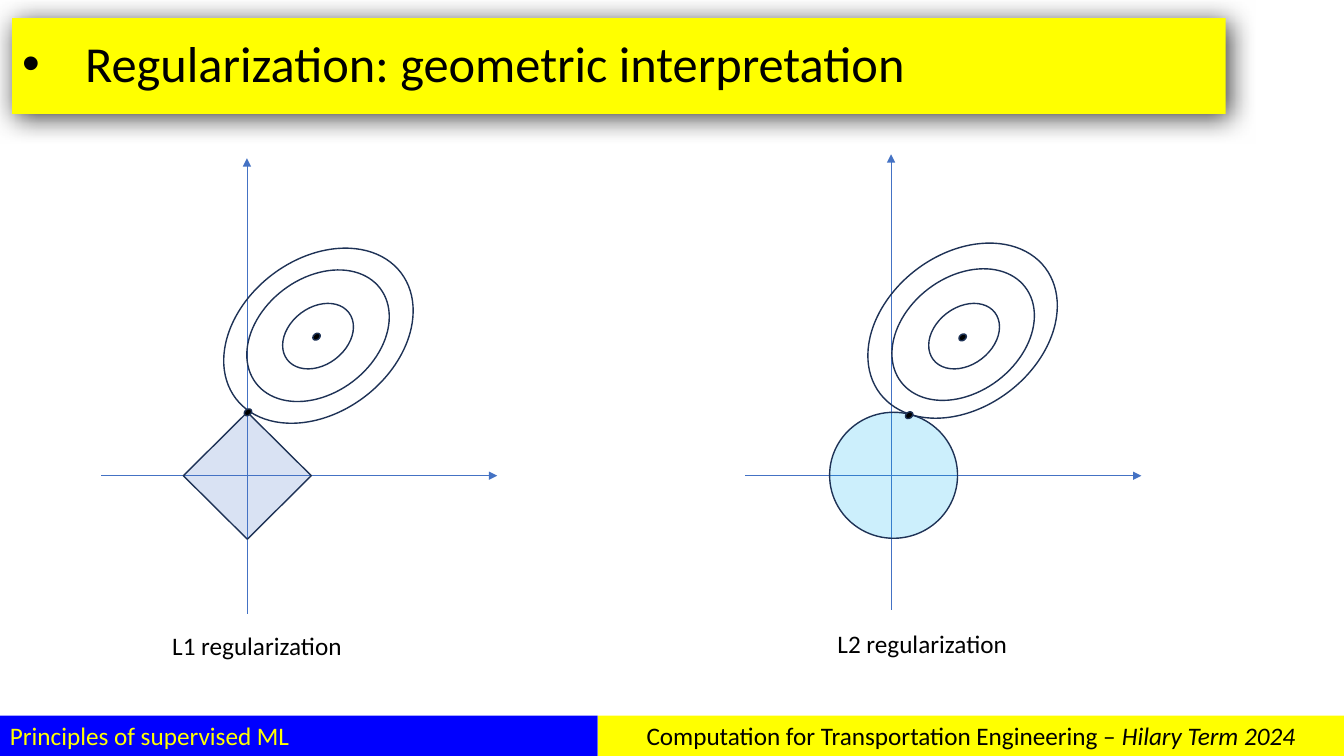
from lxml import etree
from pptx import Presentation
from pptx.dml.color import RGBColor
from pptx.enum.shapes import MSO_CONNECTOR, MSO_SHAPE
from pptx.enum.text import MSO_ANCHOR, MSO_AUTO_SIZE, PP_ALIGN
from pptx.oxml.ns import qn
from pptx.util import Pt

STRAIGHT = MSO_CONNECTOR.STRAIGHT
RECTANGLE, OVAL, DIAMOND = MSO_SHAPE.RECTANGLE, MSO_SHAPE.OVAL, MSO_SHAPE.DIAMOND
TOP, MIDDLE = MSO_ANCHOR.TOP, MSO_ANCHOR.MIDDLE
LEFT, CENTER = PP_ALIGN.LEFT, PP_ALIGN.CENTER
FIXED, GROW = MSO_AUTO_SIZE.NONE, MSO_AUTO_SIZE.SHAPE_TO_FIT_TEXT

FONT = "Calibri"
BLACK, YELLOW, BLUE = "000000", "FFFF00", "0000FF"
AXIS, OUTLINE = "4472C4", "1E3256"
TILT = 322.7
CONTOUR_SIZES = [(148.3, 109.4), (111.6, 82.1), (55.4, 41)]
DOT_SIZE = (5.8, 4.3)


def color(hex_string):
    return RGBColor.from_string(hex_string)


def add_child(parent, tag, **attributes):
    return etree.SubElement(parent, qn(tag), {k: str(v) for k, v in attributes.items()})


def set_fill(shape, hex_string, alpha=None):
    shape.fill.solid()
    shape.fill.fore_color.rgb = color(hex_string)
    if alpha:
        swatch = shape._element.spPr.find(".//" + qn("a:srgbClr"))
        add_child(swatch, "a:alpha", val=alpha * 1000)


def style_runs(para, size, hex_string):
    for run in para.runs:
        run.font.name = FONT
        run.font.size = Pt(size)
        run.font.color.rgb = color(hex_string)


def add_title(slide, text):
    title = slide.shapes.title
    title.left, title.top, title.width, title.height = Pt(8.64), Pt(12.96), Pt(866.88), Pt(68.4)
    set_fill(title, YELLOW)
    # Soft shadow
    effects = add_child(title._element.spPr, "a:effectLst")
    shadow = add_child(effects, "a:outerShdw", blurRad=Pt(19), dist=Pt(3),
                       dir=45 * 60000, algn="tl", rotWithShape=0)
    add_child(add_child(shadow, "a:srgbClr", val=BLACK), "a:alpha", val=74000)
    # Bulleted text
    frame = title.text_frame
    frame.text = text
    frame.auto_size = FIXED
    frame.vertical_anchor = MIDDLE
    para = frame.paragraphs[0]
    properties = para._p.get_or_add_pPr()
    properties.set("marL", str(Pt(45)))
    properties.set("indent", str(Pt(-45)))
    add_child(properties, "a:buFont", typeface="Arial")
    add_child(properties, "a:buChar", char="•")
    para.alignment = LEFT
    para.line_spacing = 0.9
    style_runs(para, 36, BLACK)


def add_footer(slide, left, width, fill, text, hex_string, align, italic_text=""):
    box = slide.shapes.add_shape(RECTANGLE, Pt(left), Pt(511.2), Pt(width), Pt(28.8))
    box.shadow.inherit = False
    set_fill(box, fill)
    box.line.fill.background()
    frame = box.text_frame
    frame.text = text
    frame.word_wrap = True
    frame.auto_size = GROW
    frame.vertical_anchor = TOP
    para = frame.paragraphs[0]
    para.alignment = align
    if italic_text:
        span = para.add_run()
        span.text = italic_text
        span.font.italic = True
    style_runs(para, 18, hex_string)


def add_caption(slide, left, top, text):
    box = slide.shapes.add_textbox(Pt(left), Pt(top), Pt(195.1), Pt(28.8))
    frame = box.text_frame
    frame.text = text
    frame.word_wrap = True
    frame.auto_size = GROW
    style_runs(frame.paragraphs[0], 18, BLACK)


def add_axis(slide, start, end):
    axis = slide.shapes.add_connector(STRAIGHT, *(Pt(v) for v in start + end))
    axis.line.color.rgb = color(AXIS)
    axis.line.width = Pt(0.5)
    add_child(axis.line._get_or_add_ln(), "a:tailEnd", type="triangle")
    add_child(axis._element.spPr, "a:effectLst")


def add_outlined(slide, kind, center, size, fill=None, alpha=None, rotation=0):
    (x, y), (width, height) = center, size
    shape = slide.shapes.add_shape(kind, Pt(x - width / 2), Pt(y - height / 2),
                                   Pt(width), Pt(height))
    shape.shadow.inherit = False
    shape.rotation = rotation
    if fill:
        set_fill(shape, fill, alpha)
    else:
        shape.fill.background()
    shape.line.color.rgb = color(OUTLINE)
    shape.line.width = Pt(1)


def add_diagram(slide, origin, axis_top, region, contour_centers, dots):
    x, y = origin
    # Axes
    add_axis(slide, (x, axis_top + 325.4), (x, axis_top))
    add_axis(slide, (x - 104.2, y), (x + 178.8, y))
    # Constraint region
    kind, center, size, fill = region
    add_outlined(slide, kind, center, size, fill, alpha=20)
    # Loss contours, minimum and contact point
    for center, size in zip(contour_centers, CONTOUR_SIZES):
        add_outlined(slide, OVAL, center, size, rotation=TILT)
    for center in dots:
        add_outlined(slide, OVAL, center, DOT_SIZE, BLACK, rotation=TILT)


def main():
    deck = Presentation()
    deck.slide_width, deck.slide_height = Pt(960), Pt(540)
    slide = deck.slides.add_slide(deck.slide_layouts[5])

    add_title(slide, "Regularization: geometric interpretation")
    add_footer(slide, 0, 427, BLUE, "Principles of supervised ML", YELLOW, LEFT)
    add_footer(slide, 427, 533, YELLOW, "Computation for Transportation Engineering – ",
               BLACK, CENTER, "Hilary Term 2024")

    # L1: diamond constraint
    add_diagram(slide, (176.4, 339.8), 113,
                (DIAMOND, (176.7, 339.8), (91.4, 90.7), AXIS),
                [(227.5, 239.8), (227.2, 239.8), (227.2, 240.1)],
                [(226.1, 240.5), (177.1, 294.5)])
    add_caption(slide, 115.9, 446.4, "L1 regularization")

    # L2: circular constraint
    add_diagram(slide, (636.5, 339.8), 110.2,
                (OVAL, (638.3, 339.5), (91.4, 90), "00B0F0"),
                [(687.6, 236.2), (688, 239), (688.7, 240.1)],
                [(687.6, 241), (649.4, 296.6)])
    add_caption(slide, 591.1, 445.4, "L2 regularization")

    deck.save("out.pptx")


if __name__ == "__main__":
    main()
